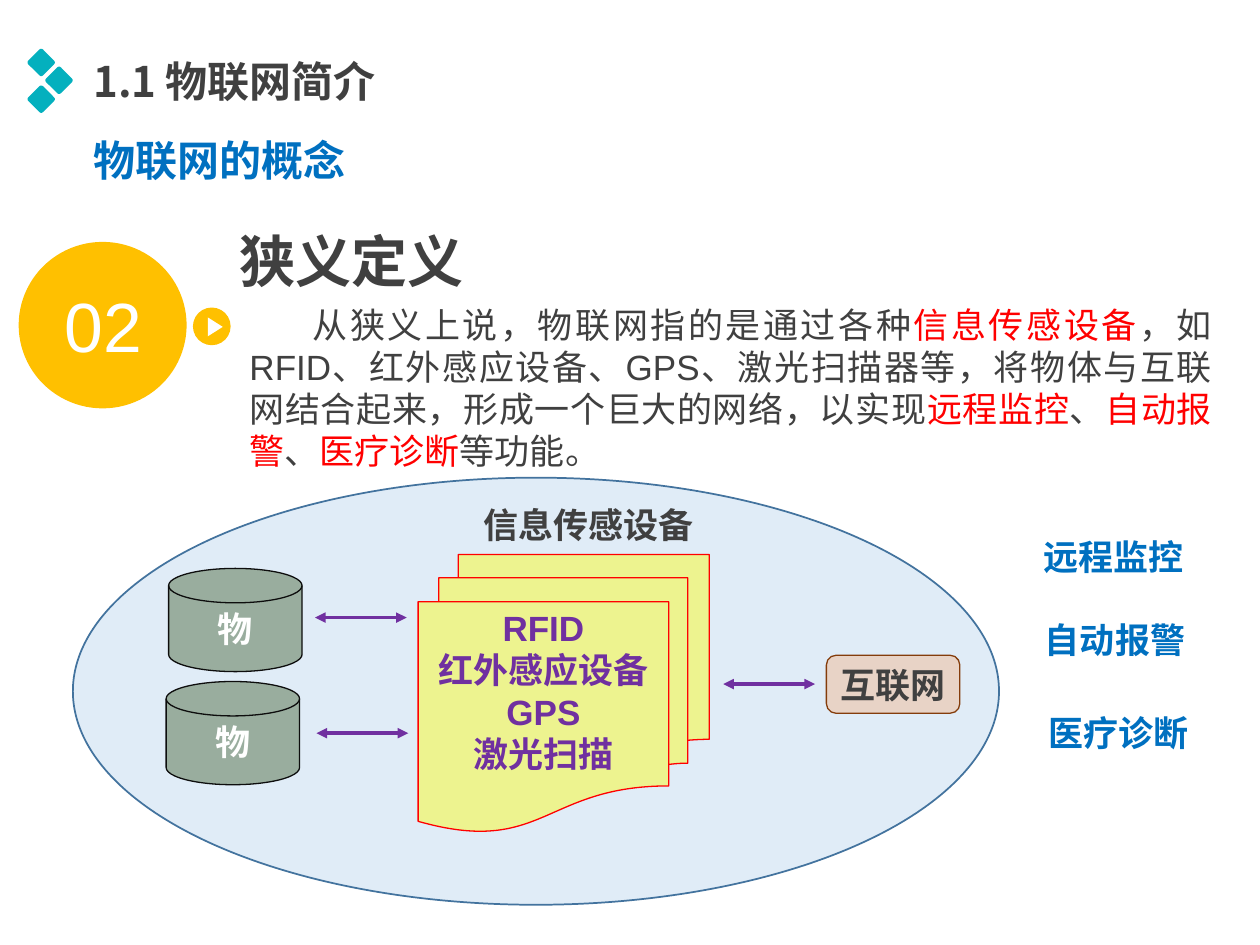
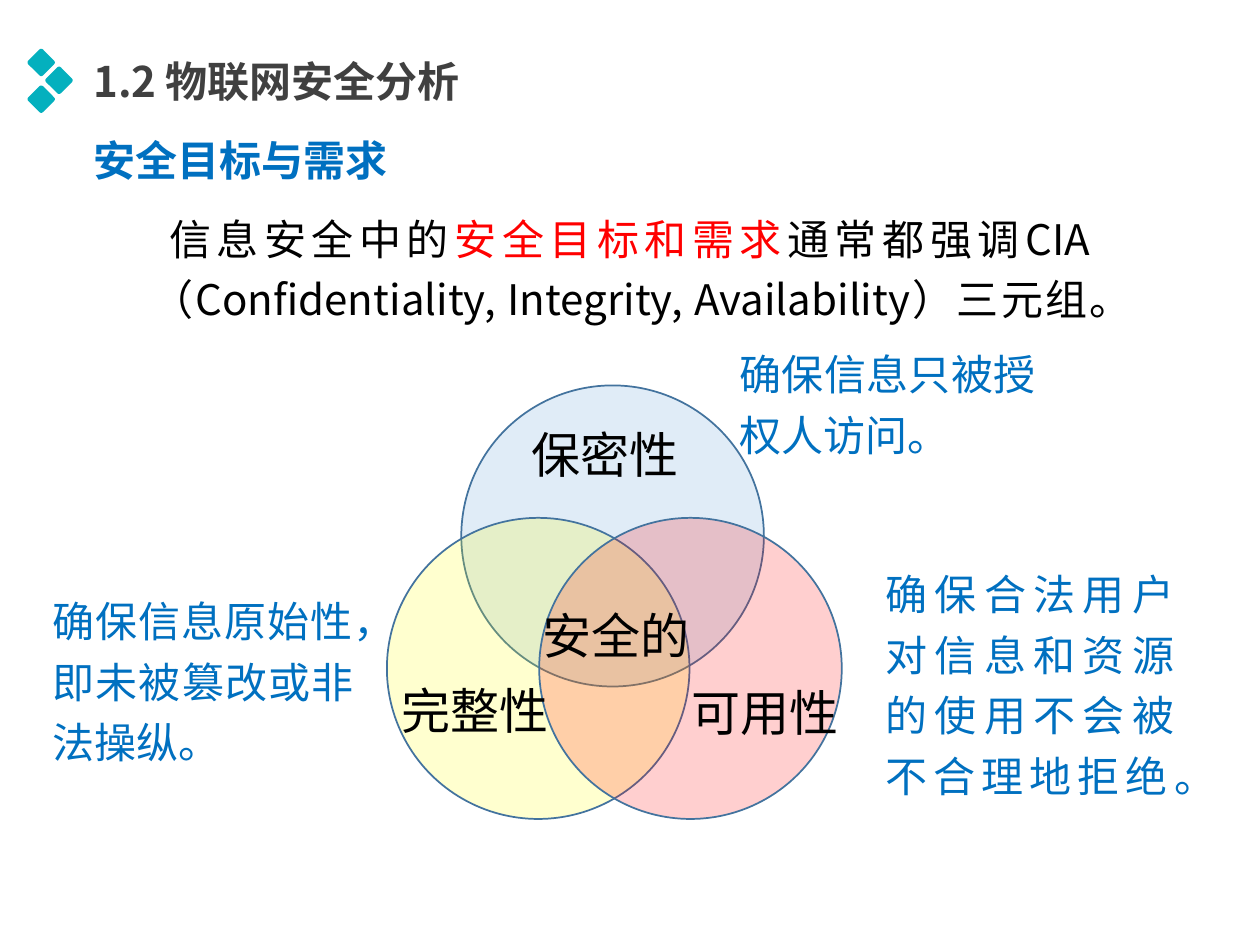
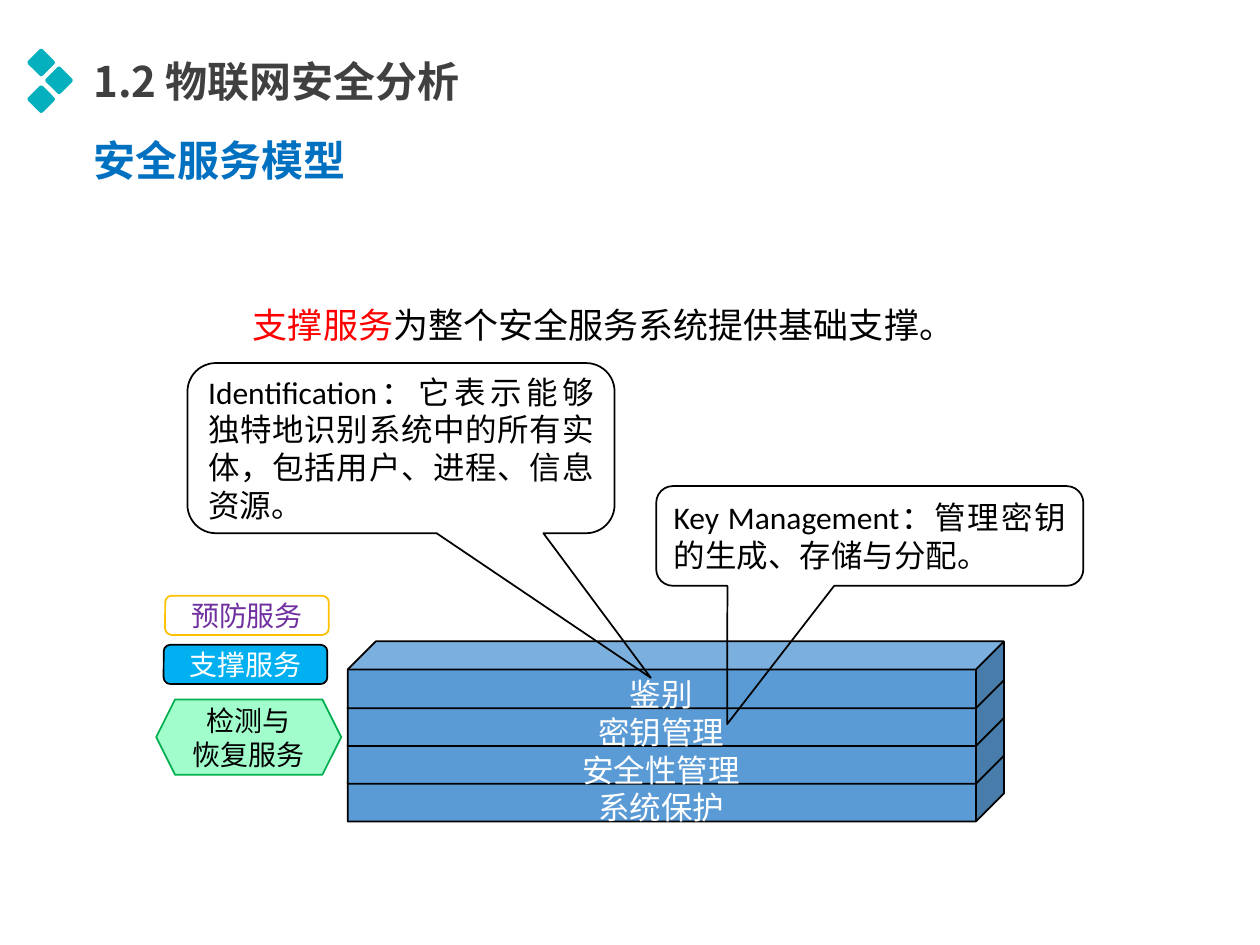
import dataclasses

import pptx
import pptx.dml.color
import pptx.enum.shapes
import pptx.enum.text
import pptx.oxml
import pptx.oxml.ns
import pptx.util

Cm, Pt = pptx.util.Cm, pptx.util.Pt
RGB = pptx.dml.color.RGBColor.from_string
SHAPE = pptx.enum.shapes.MSO_SHAPE
ALIGN = pptx.enum.text.PP_ALIGN
ANCHOR = pptx.enum.text.MSO_ANCHOR
qn = pptx.oxml.ns.qn


@dataclasses.dataclass(frozen=True)
class Theme:
    cjk: str = "Noto Sans CJK SC"
    cjk_alt: str = "Noto Sans CJK JP"
    sans: str = "Arial"
    callout_font: str = "Calibri"
    black: str = "000000"
    white: str = "FFFFFF"
    grey: str = "404040"
    red: str = "FF0000"
    blue: str = "0070C0"
    teal: str = "04B0BE"
    amber: str = "FFC000"
    purple: str = "7030A0"
    yellow: str = "FFFF00"
    sky: str = "5B9BD5"
    steel: str = "43739E"
    green: str = "385723"
    ink: str = "0D0D0D"
    orange: str = "F4B183"
    brown: str = "843C0B"
    cyan: str = "00B0F0"
    mint: str = "A1FDCB"
    leaf: str = "00B050"
    number: float = 39.8
    display: int = 32
    label: int = 28
    title: int = 24
    body: int = 20
    note: int = 18
    small: int = 16


T = Theme()
BOX_INSETS = (0.18, 0.1, 0.18, 0.1)
LABEL_INSETS = (0.15, 0, 0.46, 0)
SHAPE_INSETS = (0.25, 0.13, 0.25, 0.13)


def add_xml(parent, tag, **attrs):
    child = pptx.oxml.parse_xml(
        f'<{tag} xmlns:a="http://schemas.openxmlformats.org/drawingml/2006/main"/>')
    for name, value in attrs.items():
        child.set(name, str(value))
    parent.append(child)


def write(sp, text, size=T.body, font=T.sans, color=T.grey, bold=False,
          align=ALIGN.LEFT, anchor=ANCHOR.TOP, insets=BOX_INSETS,
          spacing=1.0, indent=0, wrap=True):
    """Fill a shape with text: newlines part paragraphs, *stars* mark red words."""
    tf = sp.text_frame
    tf.auto_size = pptx.enum.text.MSO_AUTO_SIZE.NONE
    tf.word_wrap = wrap
    tf.vertical_anchor = anchor
    tf.margin_left, tf.margin_top, tf.margin_right, tf.margin_bottom = map(Cm, insets)
    for i, line in enumerate(text.split("\n")):
        p = tf.add_paragraph() if i else tf.paragraphs[0]
        pPr = p._p.get_or_add_pPr()
        pPr.set("marL", "0")
        pPr.set("indent", str(Cm(indent)))
        p.alignment, p.line_spacing, p.space_before = align, spacing, Pt(0)
        for j, part in enumerate(line.split("*")):
            if not part:
                continue
            r = p.add_run()
            r.text = part
            r.font.size, r.font.bold, r.font.name = Pt(size), bold, font
            r.font.color.rgb = RGB(T.red if j % 2 else color)
            east_asian = font if font.startswith("Noto") else T.cjk
            add_xml(r._r.get_or_add_rPr(), "a:ea", typeface=east_asian)


class Deck:
    def __init__(self):
        self.prs = pptx.Presentation()
        self.prs.slide_width, self.prs.slide_height = Cm(25.4), Cm(19.05)
        self.slide = None

    def new_slide(self, title, heading):
        self.slide = self.prs.slides.add_slide(self.prs.slide_layouts[1])
        head, body = self.slide.placeholders
        add_xml(body.text_frame.paragraphs[0]._p.get_or_add_pPr(), "a:buNone")
        for sp, text, top, width, color in ((head, title, 1.02, 8.76, T.grey),
                                            (body, heading, 2.62, 6.5, T.blue)):
            sp.left, sp.top, sp.width, sp.height = map(Cm, (1.7, top, width, 1.22))
            write(sp, text, size=T.title, font=T.cjk, color=color, bold=True)
        side = 0.42
        for x, y in ((0.83, 1.26), (1.19, 1.62), (0.83, 2.0)):
            sp = self.shape(SHAPE.ROUNDED_RECTANGLE,
                            (x - side / 2, y - side / 2, side, side), T.teal, adj=[0.12])
            sp.rotation = 45

    def shape(self, kind, box, fill=None, line=None, width=1, alpha=None, adj=(),
              text="", **fmt):
        sp = self.slide.shapes.add_shape(kind, *map(Cm, box))
        sp.shadow.inherit = False
        for i, value in enumerate(adj):
            sp.adjustments[i] = value
        if fill:
            sp.fill.solid()
            sp.fill.fore_color.rgb = RGB(fill)
            if alpha:
                clr = sp._element.spPr.find(qn("a:solidFill"))[0]
                add_xml(clr, "a:alpha", val=alpha * 1000)
        else:
            sp.fill.background()
        if line:
            sp.line.color.rgb = RGB(line)
            sp.line.width = Pt(width)
        else:
            sp.line.fill.background()
        if text:
            write(sp, text, **fmt)
        return sp

    def text(self, box, text, **fmt):
        write(self.slide.shapes.add_textbox(*map(Cm, box)), text, **fmt)

    def label(self, box, text, **fmt):
        """Text centred in its height, with open line spacing."""
        style = dict(font=T.cjk, color=T.black, align=ALIGN.CENTER,
                     anchor=ANCHOR.MIDDLE, insets=LABEL_INSETS, spacing=1.2)
        self.text(box, text, **{**style, **fmt})

    def double_arrow(self, x, y, length):
        c = self.slide.shapes.add_connector(
            pptx.enum.shapes.MSO_CONNECTOR.STRAIGHT, Cm(x), Cm(y), Cm(x + length), Cm(y))
        c.line.color.rgb = RGB(T.purple)
        c.line.width = Pt(2)
        ln = c.line._get_or_add_ln()
        for end in ("a:headEnd", "a:tailEnd"):
            add_xml(ln, end, type="triangle")
        add_xml(c._element.spPr, "a:effectLst")


def concept_slide(d):
    d.new_slide("1.1 物联网简介", "物联网的概念")
    bold_center = dict(bold=True, align=ALIGN.CENTER)
    d.shape(SHAPE.OVAL, (1.47, 9.63, 18.67, 8.61), T.sky, T.steel, alpha=19)

    d.shape(SHAPE.OVAL, (0.43, 4.93, 3.28, 3.25), T.amber, T.amber, width=3)
    d.shape(SHAPE.OVAL, (3.89, 6.2, 0.76, 0.76), T.amber)
    play = d.shape(SHAPE.ISOSCELES_TRIANGLE, (4.15, 6.44, 0.38, 0.3), T.white)
    play.rotation = 90
    d.text((0.91, 5.61, 2.34, 1.88), "02", size=T.number, color=T.white,
           align=ALIGN.CENTER)
    d.text((4.85, 6.02, 19.76, 3.61),
           "从狭义上说，物联网指的是通过各种*信息传感设备*，如RFID、红外感应设备、GPS、"
           "激光扫描器等，将物体与互联网结合起来，形成一个巨大的网络，以实现"
           "*远程监控*、*自动报警*、*医疗诊断*等功能。", align=ALIGN.JUSTIFY, indent=1.27)
    d.text((4.65, 4.47, 4.95, 1.55), "狭义定义", size=T.display, bold=True, wrap=False)

    d.shape(SHAPE.FLOWCHART_MULTIDOCUMENT, (8.43, 11.18, 5.87, 5.59), T.yellow, T.red,
            width=0.75, alpha=42, text="RFID\n红外感应设备\nGPS\n激光扫描",
            color=T.purple, **bold_center)
    d.shape(SHAPE.ROUNDED_RECTANGLE, (16.66, 13.21, 2.69, 1.17), T.orange, T.brown,
            width=0.75, alpha=42, text="互联网", **bold_center)
    for x, y in ((3.4, 11.46), (3.35, 13.74)):
        d.shape(SHAPE.FLOWCHART_MAGNETIC_DISK, (x, y, 2.69, 2.08), T.green, T.ink,
                width=0.75, alpha=42, text="物", color=T.white, **bold_center)
    for x, y in ((6.35, 12.45), (6.38, 14.78), (14.58, 13.79)):
        d.double_arrow(x, y, 1.85)
    d.text((9.14, 10.06, 5.44, 1.04), "信息传感设备", **bold_center)
    for text, x, y in (("远程监控", 20.5, 10.69), ("自动报警", 20.53, 12.37),
                       ("医疗诊断", 20.6, 14.25)):
        d.text((x, y, 3.9, 1.04), text, color=T.blue, **bold_center)


def goals_slide(d):
    d.new_slide("1.2 物联网安全分析", "安全目标与需求")
    for x, y, color in ((9.3, 7.77, T.sky), (7.8, 10.44, T.yellow), (10.87, 10.44, T.red)):
        d.shape(SHAPE.OVAL, (x, y, 6.1, 6.07), color, T.steel, alpha=19)
    for text, x, y in (("保密性", 10.21, 8.33), ("完整性", 7.59, 13.49),
                       ("可用性", 13.44, 13.54), ("安全的", 10.44, 11.99)):
        d.label((x, y, 4.27, 1.4), text, size=T.label)
    d.label((2.9, 4.14, 19.53, 2.36),
            "信息安全中的*安全目标和需求*通常都强调CIA"
            "（Confidentiality, Integrity, Availability）三元组。",
            size=T.title, align=ALIGN.JUSTIFY, indent=0.36)
    for text, box in (
            ("确保信息只被授权人访问。", (14.76, 6.93, 6.58, 2.24)),
            ("确保信息原始性，即未被篡改或非法操纵。", (0.91, 11.43, 6.68, 4.42)),
            ("确保合法用户对信息和资源的使用不会被不合理地拒绝。",
             (17.7, 11.43, 6.43, 4.55))):
        d.label(box, text, size=T.title, color=T.blue, align=ALIGN.JUSTIFY)


def services_slide(d):
    d.new_slide("1.2 物联网安全分析", "安全服务模型")
    layers = ("鉴别", "密钥管理", "安全性管理", "系统保护")
    for i, name in reversed(list(enumerate(layers))):
        top = 12.93 + 0.76 * i
        d.shape(SHAPE.CUBE, (7.01, top, 13.23, 1.35), T.sky, T.black, adj=[0.42])
        d.label((10.03, top + 0.63, 6.91, 0.72), name, size=T.note, font=T.cjk_alt,
                color=T.white)
    d.label((4.95, 5.87, 15.19, 1.17), "*支撑服务*为整个安全服务系统提供基础支撑。",
            align=ALIGN.JUSTIFY)

    middle = dict(anchor=ANCHOR.MIDDLE, insets=SHAPE_INSETS)
    for kind, box, fill, line, text, color in (
            (SHAPE.ROUNDED_RECTANGLE, (3.33, 12.01, 3.3, 0.79), T.white, T.amber,
             "预防服务", T.purple),
            (SHAPE.ROUNDED_RECTANGLE, (3.3, 13.0, 3.3, 0.79), T.cyan, T.black,
             "支撑服务", T.white),
            (SHAPE.HEXAGON, (3.15, 14.1, 3.73, 1.52), T.mint, T.leaf,
             "检测与\n恢复服务", T.black)):
        d.shape(kind, box, fill, line, text=text, size=T.small, font=T.cjk_alt,
                color=color, align=ALIGN.CENTER, **middle)
    for box, adj, text in (
            ((3.78, 7.32, 8.61, 3.43), (0.585, 1.35, 0.167),
             "Identification：它表示能够独特地识别系统中的所有实体，"
             "包括用户、进程、信息资源。"),
            ((13.23, 9.8, 8.61, 2.01), (-0.334, 1.888, 0.167),
             "Key Management：管理密钥的生成、存储与分配。")):
        d.shape(SHAPE.ROUNDED_RECTANGULAR_CALLOUT, box, line=T.black, adj=adj, text=text,
                size=T.note, font=T.callout_font, color=T.black, align=ALIGN.JUSTIFY,
                **middle)


def main():
    d = Deck()
    concept_slide(d)
    goals_slide(d)
    services_slide(d)
    d.prs.save("out.pptx")


if __name__ == "__main__":
    main()
